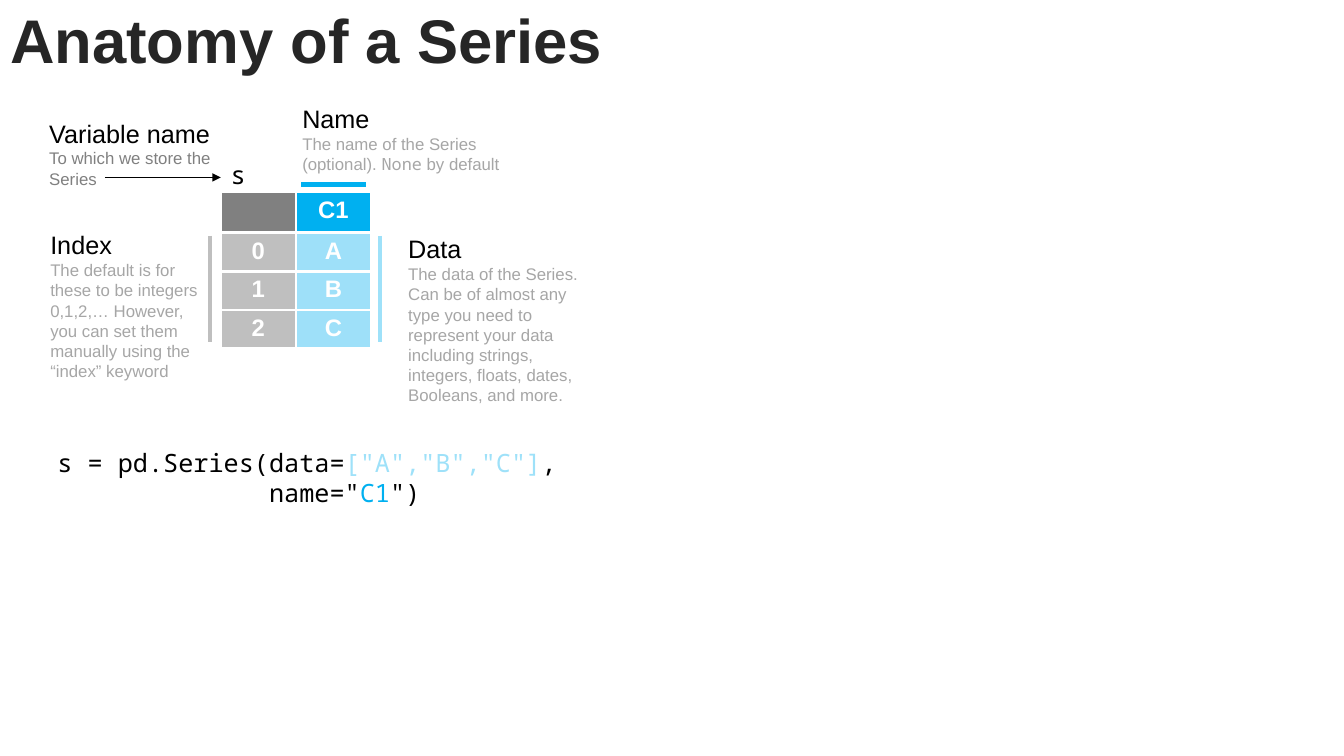
from lxml.etree import SubElement
from pptx import Presentation
from pptx.dml.color import RGBColor
from pptx.enum.shapes import MSO_CONNECTOR
from pptx.enum.text import MSO_ANCHOR, MSO_AUTO_SIZE, PP_ALIGN
from pptx.oxml.ns import qn
from pptx.util import Inches, Pt

SANS, MONO = "Arial", "Noto Sans Mono"
BLACK, WHITE, DARK = "000000", "FFFFFF", "262626"
GREY, MID, LIGHT = "808080", "A6A6A6", "BFBFBF"
BLUE, PALE = "00B0F0", "9EE1F9"
CODE_INDENT = 2.1

TITLE = ("Anatomy of a Series", (0, -0.03, 6.14, 0.84))
NOTES = [
    ("Index", (0.4, 2.23, 1.79, 1.62), MID,
     [("The default is for these to be integers 0,1,2,… However, you can set "
       "them manually using the “index” keyword", SANS)]),
    ("Name", (2.9, 0.98, 2.23, 0.81), MID,
     [("The name of the Series (optional). ", SANS), ("None", MONO),
      (" by default", SANS)]),
    ("Data", (3.95, 2.27, 2.09, 1.82), MID,
     [("The data of the Series. Can be of almost any type you need to represent "
       "your data including strings, integers, floats, dates, Booleans, and more.",
       SANS)]),
    ("Variable name", (0.39, 1.12, 1.96, 0.81), GREY,
     [("To which we store the Series", SANS)]),
]
CODE_BOX = (0.47, 4.39, 5.39, 0.71)
CODE = [
    [("s = pd.Series(data=", BLACK), ('["A","B","C"]', PALE), (",", BLACK)],
    [('name="', BLACK), ("C1", BLUE), ('")', BLACK)],
]
VARIABLE = ("s", (2.19, 1.53, 0.34, 0.4))
SERIES_BOX = (2.19, 1.9, 1.49, 1.54)
SERIES = [("", "C1"), ("0", "A"), ("1", "B"), ("2", "C")]
BARS = [
    (2.08, 2.34, 2.08, 3.39, LIGHT),
    (2.99, 1.83, 3.63, 1.83, BLUE),
    (3.77, 2.34, 3.77, 3.39, PALE),
]
ARROW = (1.04, 1.76, 2.19, 1.76, BLACK)


def rgb(value):
    return RGBColor.from_string(value)


def add_run(p, text, size, color, font=SANS, bold=False):
    r = p.add_run()
    r.text = text
    for key, value in dict(size=Pt(size), name=font, bold=bold).items():
        setattr(r.font, key, value)
    r.font.color.rgb = rgb(color)


def add_box(s, box, wrap=True):
    tf = s.shapes.add_textbox(*map(Inches, box)).text_frame
    tf.word_wrap = wrap
    return tf


def add_line(s, x1, y1, x2, y2, color, width):
    line = s.shapes.add_connector(
        MSO_CONNECTOR.STRAIGHT, *map(Inches, (x1, y1, x2, y2)))
    line.line.color.rgb = rgb(color)
    line.line.width = Pt(width)
    SubElement(line._element.spPr, qn("a:effectLst"))
    return line


def add_border(cell):
    tc_pr = cell._tc.get_or_add_tcPr()
    for position, side in enumerate(("lnL", "lnR", "lnT", "lnB")):
        ln = SubElement(tc_pr, qn(f"a:{side}"), w=str(Pt(2.25)))
        fill = SubElement(ln, qn("a:solidFill"))
        SubElement(fill, qn("a:srgbClr"), val=WHITE)
        tc_pr.insert(position, ln)


def add_series(s):
    left, top, width, height = SERIES_BOX
    table = s.shapes.add_table(
        len(SERIES), 2, *map(Inches, SERIES_BOX)).table
    for column in table.columns:
        column.width = Inches(width / 2)
    for i, values in enumerate(SERIES):
        table.rows[i].height = Inches(height / len(SERIES))
        for j, value in enumerate(values):
            cell = table.cell(i, j)
            cell.fill.solid()
            cell.fill.fore_color.rgb = rgb(BLUE if j else LIGHT if i else GREY)
            if i and j:
                color = cell._tc.tcPr.find(".//" + qn("a:srgbClr"))
                SubElement(color, qn("a:alpha"), val="38000")
            add_border(cell)
            if value:
                p = cell.text_frame.paragraphs[0]
                p.alignment = PP_ALIGN.CENTER
                add_run(p, value, 17, WHITE, bold=True)


prs = Presentation()
prs.slide_width, prs.slide_height = Inches(13.33), Inches(7.5)
s = prs.slides.add_slide(prs.slide_layouts[5])

add_series(s)

text, box = TITLE
title = s.shapes.title
for key, value in zip(("left", "top", "width", "height"), box):
    setattr(title, key, Inches(value))
tf = title.text_frame
for key, value in dict(word_wrap=False, auto_size=MSO_AUTO_SIZE.NONE,
                       vertical_anchor=MSO_ANCHOR.TOP).items():
    setattr(tf, key, value)
tf.paragraphs[0].alignment = PP_ALIGN.LEFT
add_run(tf.paragraphs[0], text, 44, DARK, bold=True)

for heading, box, color, runs in NOTES:
    tf = add_box(s, box)
    add_run(tf.paragraphs[0], heading, 18, BLACK)
    p = tf.add_paragraph()
    for text, font in runs:
        add_run(p, text, 12, color, font)

tf = add_box(s, CODE_BOX)
tf.add_paragraph()._p.get_or_add_pPr().set("marL", str(Inches(CODE_INDENT)))
for p, runs in zip(tf.paragraphs, CODE):
    for text, color in runs:
        add_run(p, text, 18, color, MONO)

text, box = VARIABLE
add_run(add_box(s, box, wrap=False).paragraphs[0], text, 18, BLACK, MONO)

for bar in BARS:
    add_line(s, *bar, 3)
arrow = add_line(s, *ARROW, 0.5)
SubElement(arrow.line._get_or_add_ln(), qn("a:tailEnd"), type="triangle")

prs.save("out.pptx")
